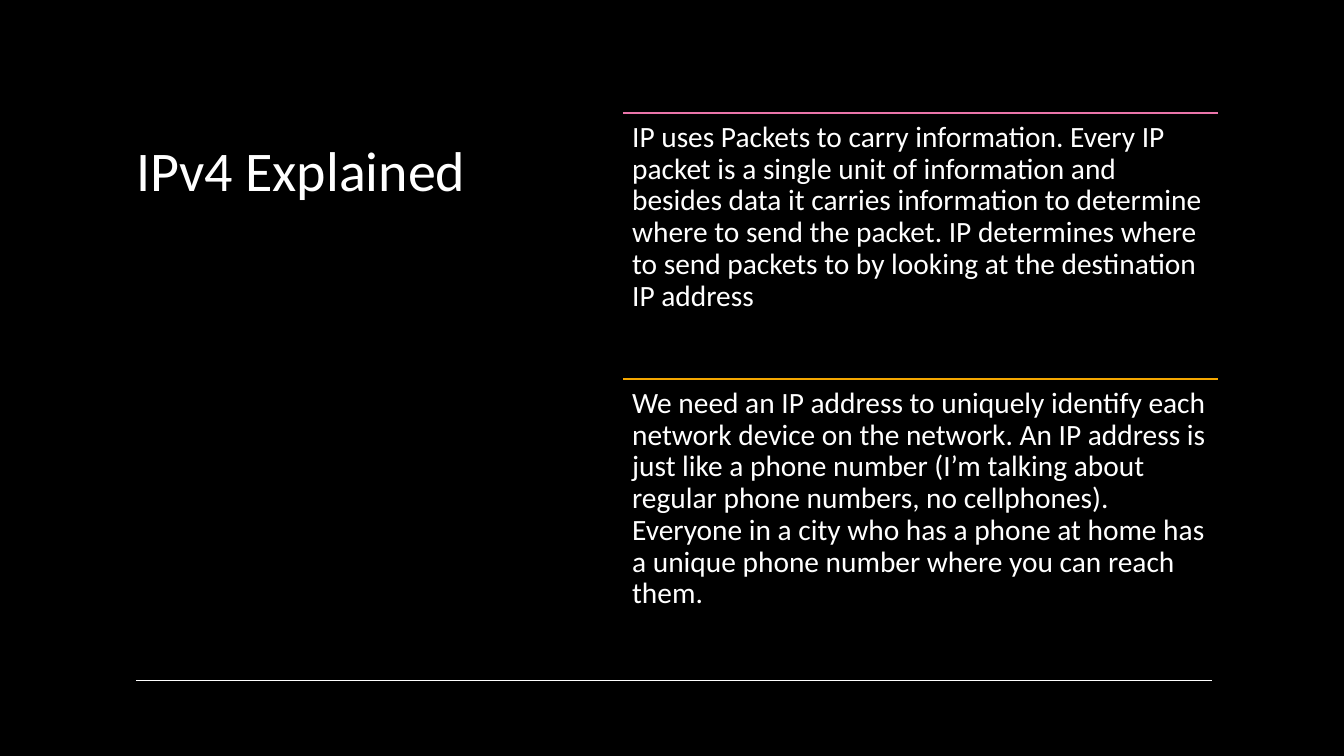
"""Build the IPv4 Explained slide with its two ruled text blocks."""
from dataclasses import dataclass

from lxml.etree import SubElement
from pptx import Presentation
from pptx.dml.color import RGBColor
from pptx.enum.shapes import MSO_CONNECTOR as Link, MSO_SHAPE as Form
from pptx.enum.text import MSO_ANCHOR as Anchor, MSO_AUTO_SIZE as Fit, PP_ALIGN as Align
from pptx.oxml.ns import qn
from pptx.slide import Slide
from pptx.text.text import TextFrame
from pptx.util import Inches, Pt

BLACK = RGBColor(0x00, 0x00, 0x00)
WHITE = RGBColor(0xFF, 0xFF, 0xFF)
PINK = RGBColor(0xEA, 0x75, 0xAA)
AMBER = RGBColor(0xF5, 0xA7, 0x00)
FONT = "Calibri"
PAGE = Inches(13.33), Inches(7.5)
LEFT, TOP, WIDTH, HEIGHT = 6.18, 1.12, 5.9, 2.64


@dataclass(frozen=True)
class Block:
    color: RGBColor
    text: str


BLOCKS = [
    Block(PINK, "IP uses Packets to carry information. Every IP packet is a single unit "
          "of information and besides data it carries information to determine where to "
          "send the packet. IP determines where to send packets to by looking at the "
          "destination IP address"),
    Block(AMBER, "We need an IP address to uniquely identify each network device on the "
          "network. An IP address is just like a phone number (I’m talking about regular "
          "phone numbers, no cellphones). Everyone in a city who has a phone at home has "
          "a unique phone number where you can reach them."),
]


def write(frame: TextFrame, text: str, *, size: float, inset: tuple[float, float],
          spacing: float = 1.0) -> None:
    frame.word_wrap = True
    frame.auto_size = Fit.NONE
    frame.vertical_anchor = Anchor.TOP
    frame.margin_left = frame.margin_right = Inches(inset[0])
    frame.margin_top = frame.margin_bottom = Inches(inset[1])
    para = frame.paragraphs[0]
    para.alignment = Align.LEFT
    para.line_spacing = spacing
    run = para.add_run()
    run.text = text
    run.font.name = FONT
    run.font.size = Pt(size)
    run.font.color.rgb = WHITE


def cover(slide: Slide) -> None:
    panel = slide.shapes.add_shape(Form.RECTANGLE, 0, 0, *PAGE)
    panel.shadow.inherit = False
    panel.fill.solid()
    panel.fill.fore_color.rgb = BLACK
    panel.line.fill.background()
    slide.shapes.title._element.addprevious(panel._element)


def rule(slide: Slide, left: float, top: float, width: float, color: RGBColor) -> None:
    line = slide.shapes.add_connector(
        Link.STRAIGHT, Inches(left), Inches(top), Inches(left + width), Inches(top))
    line.line.color.rgb = color
    line.line.width = Pt(1)
    SubElement(line._element.spPr, qn("a:effectLst"))


def draw(slide: Slide, block: Block, top: float) -> None:
    rule(slide, LEFT, top, WIDTH, block.color)
    box = slide.shapes.add_textbox(Inches(LEFT), Inches(top), Inches(WIDTH), Inches(HEIGHT))
    write(box.text_frame, block.text, size=21, inset=(0.09, 0.09), spacing=0.9)


def main() -> None:
    deck = Presentation()
    deck.slide_width, deck.slide_height = PAGE
    slide = deck.slides.add_slide(deck.slide_layouts[5])
    slide.background.fill.solid()
    slide.background.fill.fore_color.rgb = BLACK
    cover(slide)
    title = slide.shapes.title
    title.left, title.top = Inches(1.25), Inches(1.29)
    title.width, title.height = Inches(4.26), Inches(2.75)
    write(title.text_frame, "IPv4 Explained", size=40, inset=(0.1, 0.05))
    rule(slide, 1.35, 6.75, 10.67, WHITE)
    for row, block in enumerate(BLOCKS):
        draw(slide, block, TOP + row * HEIGHT)
    deck.save("out.pptx")


if __name__ == "__main__":
    main()
